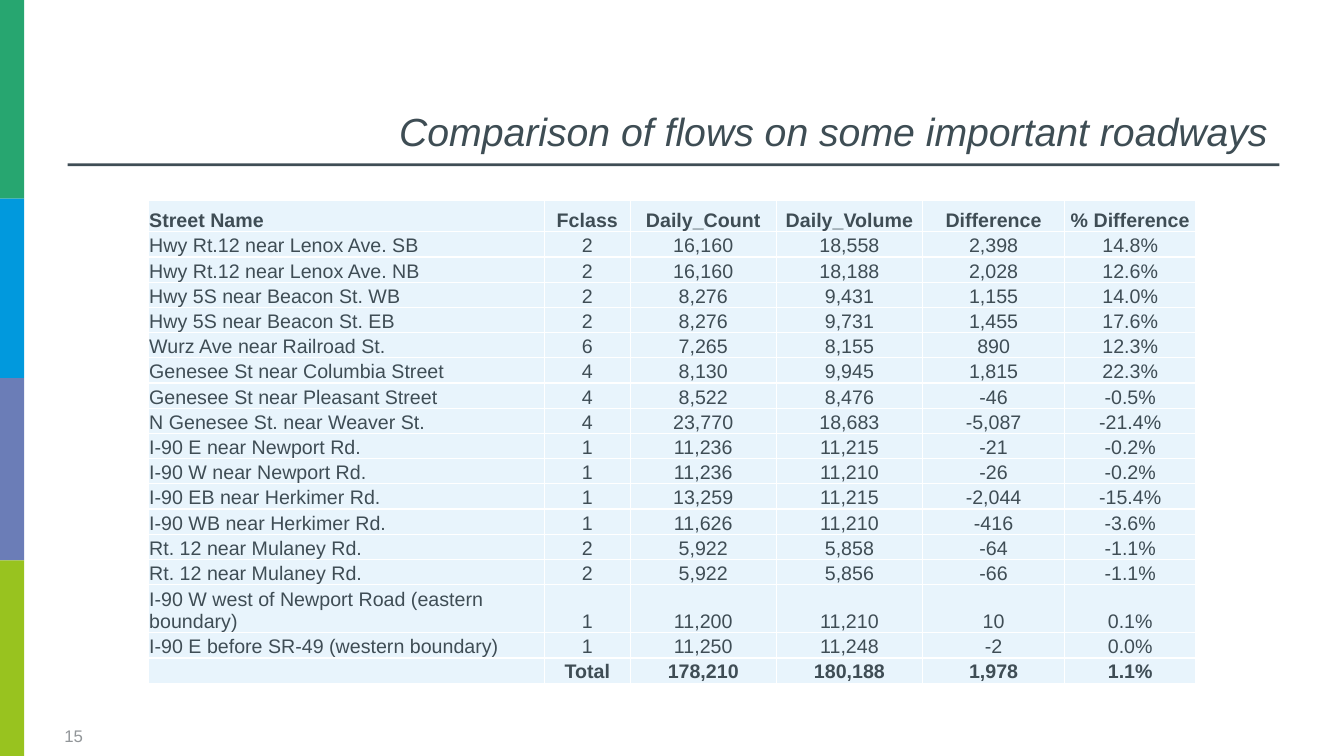
from dataclasses import dataclass

from lxml import etree
from pptx import Presentation
from pptx.dml.color import RGBColor
from pptx.enum import shapes, text
from pptx.oxml import ns
from pptx.util import Inches, Pt


@dataclass(frozen=True)
class Theme:
    font: str = "Arial"
    title_ink: str = "3E4D54"
    ink: str = "3F4D55"
    muted: str = "929699"
    cell: str = "E8F4FC"
    border: str = "FFFFFF"
    stripes: tuple = ("27A670", "0199DD", "6B7DB7", "98C31F")
    title_size: int = 28
    table_size: int = 14
    number_size: int = 12


STRIPE_EDGES = [0, 1.97, 3.75, 5.56, 7.5]
COLUMN_WIDTHS = [3.93, 0.85, 1.45, 1.45, 1.41, 1.3]
ROW_HEIGHT, HEADER_HEIGHT, WRAPPED_HEIGHT = 0.25, 0.31, 0.43
WRAPPED_ROW = 15
FLOWS = [
    ("Street Name", "Fclass", "Daily_Count", "Daily_Volume", "Difference", "% Difference"),
    ("Hwy Rt.12 near Lenox Ave. SB", "2", "16,160", "18,558", "2,398", "14.8%"),
    ("Hwy Rt.12 near Lenox Ave. NB", "2", "16,160", "18,188", "2,028", "12.6%"),
    ("Hwy 5S near Beacon St. WB", "2", "8,276", "9,431", "1,155", "14.0%"),
    ("Hwy 5S near Beacon St. EB", "2", "8,276", "9,731", "1,455", "17.6%"),
    ("Wurz Ave near Railroad St.", "6", "7,265", "8,155", "890", "12.3%"),
    ("Genesee St near Columbia Street", "4", "8,130", "9,945", "1,815", "22.3%"),
    ("Genesee St near Pleasant Street", "4", "8,522", "8,476", "-46", "-0.5%"),
    ("N Genesee St. near Weaver St.", "4", "23,770", "18,683", "-5,087", "-21.4%"),
    ("I-90 E near Newport Rd.", "1", "11,236", "11,215", "-21", "-0.2%"),
    ("I-90 W near Newport Rd.", "1", "11,236", "11,210", "-26", "-0.2%"),
    ("I-90 EB near Herkimer Rd.", "1", "13,259", "11,215", "-2,044", "-15.4%"),
    ("I-90 WB near Herkimer Rd.", "1", "11,626", "11,210", "-416", "-3.6%"),
    ("Rt. 12 near Mulaney Rd.", "2", "5,922", "5,858", "-64", "-1.1%"),
    ("Rt. 12 near Mulaney Rd.", "2", "5,922", "5,856", "-66", "-1.1%"),
    ("I-90 W west of Newport Road (eastern boundary)", "1", "11,200", "11,210", "10", "0.1%"),
    ("I-90 E before SR-49 (western boundary)", "1", "11,250", "11,248", "-2", "0.0%"),
    ("", "Total", "178,210", "180,188", "1,978", "1.1%"),
]


def write(frame, words, *, font, size, color, bold=False, italic=False,
          align=text.PP_ALIGN.LEFT):
    para = frame.paragraphs[0]
    para.alignment = align
    if not words:
        # An empty cell still needs a text size, or its row grows.
        etree.SubElement(para._p, ns.qn("a:endParaRPr"), sz=str(size * 100))
        return
    span = para.add_run()
    span.text = words
    span.font.name = font
    span.font.size = Pt(size)
    span.font.bold = bold
    span.font.italic = italic
    span.font.color.rgb = RGBColor.from_string(color)


def add_borders(cell, color):
    properties = cell._tc.get_or_add_tcPr()
    for side in ("lnL", "lnR", "lnT", "lnB"):
        line = etree.SubElement(properties, ns.qn(f"a:{side}"), w=str(Pt(1)))
        fill = etree.SubElement(line, ns.qn("a:solidFill"))
        etree.SubElement(fill, ns.qn("a:srgbClr"), val=color)


class SlideBuilder:
    def __init__(self, page, theme):
        self.page = page
        self.theme = theme

    def title(self, words, left, top, width, height):
        box = self.page.shapes.title
        box.left, box.top = Inches(left), Inches(top)
        box.width, box.height = Inches(width), Inches(height)
        frame = box.text_frame
        frame.word_wrap = True
        frame.auto_size = text.MSO_AUTO_SIZE.NONE
        frame.vertical_anchor = text.MSO_ANCHOR.BOTTOM
        write(frame, words, font=self.theme.font, size=self.theme.title_size,
              color=self.theme.title_ink, italic=True, align=text.PP_ALIGN.RIGHT)

    def bar(self, left, top, width, height, color):
        shape = self.page.shapes.add_shape(
            shapes.MSO_SHAPE.RECTANGLE,
            Inches(left), Inches(top), Inches(width), Inches(height))
        shape.shadow.inherit = False
        shape.fill.solid()
        shape.fill.fore_color.rgb = RGBColor.from_string(color)
        shape.line.fill.background()

    def page_number(self, words, left, top, width, height):
        box = self.page.shapes.add_textbox(
            Inches(left), Inches(top), Inches(width), Inches(height))
        box.text_frame.word_wrap = True
        box.text_frame.vertical_anchor = text.MSO_ANCHOR.MIDDLE
        write(box.text_frame, words, font=self.theme.font,
              size=self.theme.number_size, color=self.theme.muted)

    def table(self, rows, left, top, widths, heights):
        """Draw rows with the first and last in bold and all but column one centred."""
        table = self.page.shapes.add_table(
            len(rows), len(widths), Inches(left), Inches(top),
            Inches(sum(widths)), Inches(sum(heights))).table
        table.horz_banding = False
        for column, width in zip(table.columns, widths):
            column.width = Inches(width)
        for row, height in zip(table.rows, heights):
            row.height = Inches(height)
        for row_index, values in enumerate(rows):
            for column_index, words in enumerate(values):
                self.cell(table.cell(row_index, column_index), words,
                          bold=row_index in (0, len(rows) - 1),
                          align=text.PP_ALIGN.CENTER if column_index else text.PP_ALIGN.LEFT)

    def cell(self, cell, words, bold, align):
        cell.margin_left = cell.margin_right = cell.margin_top = Inches(0.01)
        cell.margin_bottom = 0
        cell.vertical_anchor = text.MSO_ANCHOR.BOTTOM
        add_borders(cell, self.theme.border)
        cell.fill.solid()
        cell.fill.fore_color.rgb = RGBColor.from_string(self.theme.cell)
        write(cell.text_frame, words, font=self.theme.font, size=self.theme.table_size,
              color=self.theme.ink, bold=bold, align=align)


def main():
    deck = Presentation()
    deck.slide_width, deck.slide_height = Inches(13.33), Inches(7.5)
    theme = Theme()
    builder = SlideBuilder(deck.slides.add_slide(deck.slide_layouts[5]), theme)

    builder.page_number("15", 0.54, 7.09, 0.97, 0.41)
    for top, bottom, color in zip(STRIPE_EDGES, STRIPE_EDGES[1:], theme.stripes):
        builder.bar(0, top, 0.24, bottom - top, color)
    builder.bar(0.67, 1.62, 12.02, 0.03, theme.ink)
    builder.title("Comparison of flows on some important roadways", 0.67, -0.01, 12, 1.59)

    heights = [ROW_HEIGHT] * len(FLOWS)
    heights[0] = HEADER_HEIGHT
    heights[WRAPPED_ROW] = WRAPPED_HEIGHT
    builder.table(FLOWS, 1.47, 1.99, COLUMN_WIDTHS, heights)
    deck.save("out.pptx")


if __name__ == "__main__":
    main()
